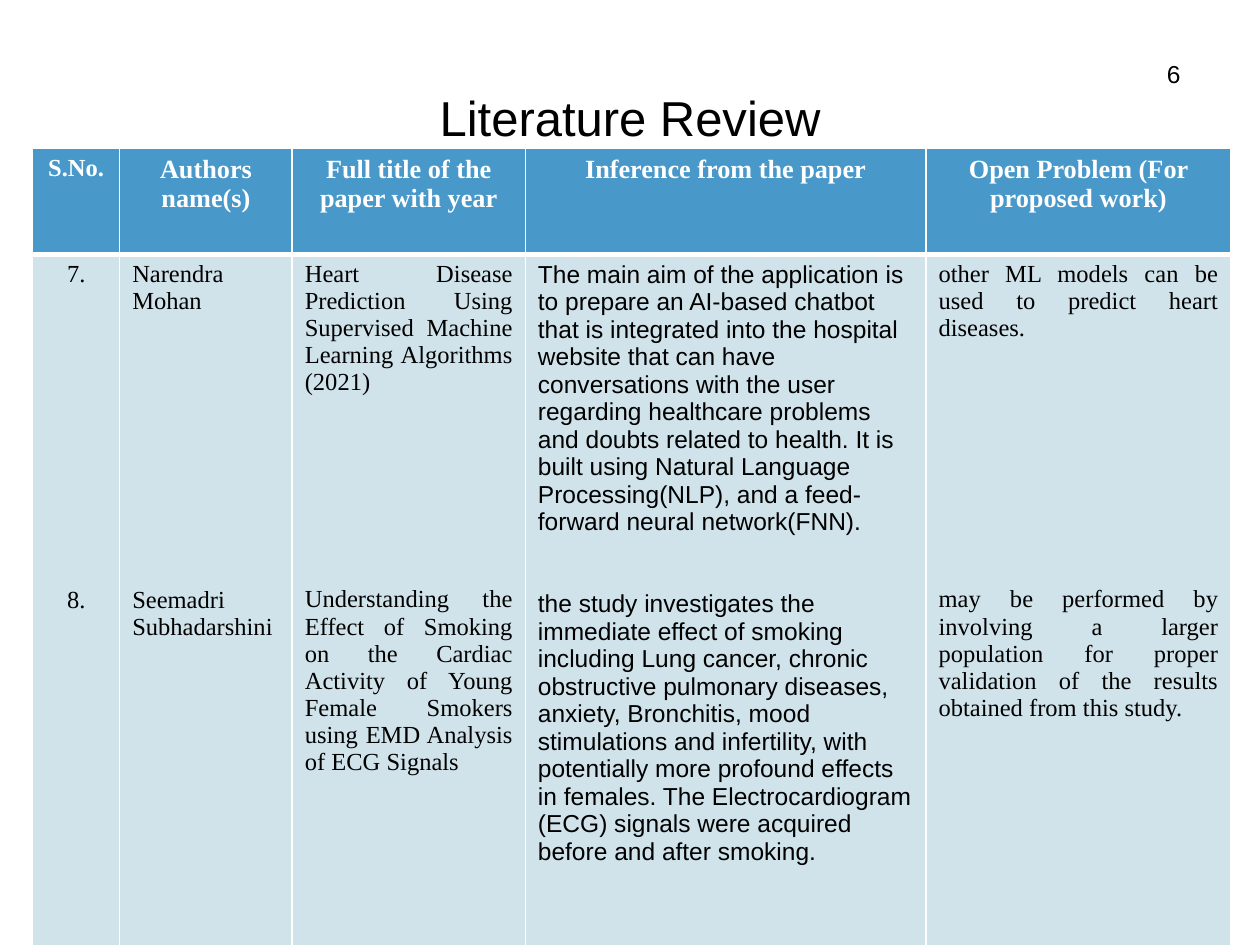
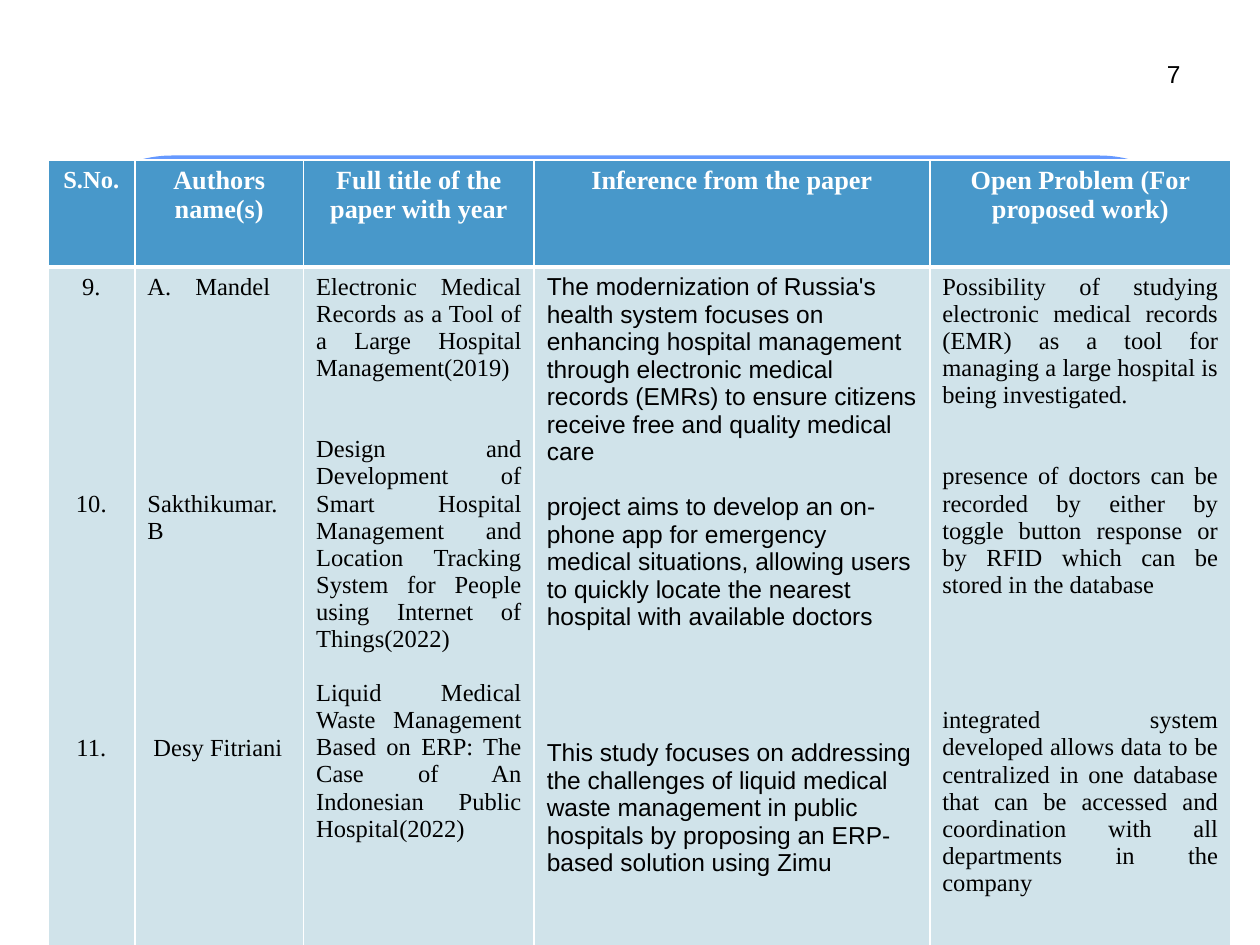
from dataclasses import dataclass
from typing import NamedTuple

from lxml.etree import SubElement
from pptx import Presentation
from pptx.dml.color import RGBColor
from pptx.enum.shapes import MSO_SHAPE
from pptx.enum.text import MSO_ANCHOR, PP_ALIGN
from pptx.oxml.ns import qn
from pptx.util import Inches, Pt

COLORS = {
    "white": "FFFFFF",
    "black": "000000",
    "head": "4898CA",
    "body": "D0E3EA",
    "frame": "6699FF",
}
SANS, SERIF = "Arial", "Times New Roman"
LINE = 15.5  # height in points of one line of body text
THIN, THICK = 1, 3  # border widths in points


class Box(NamedTuple):
    left: float
    top: float
    width: float
    height: float


class Style(NamedTuple):
    size: float
    font: str = SANS
    color: str = "black"
    bold: bool = False
    align: PP_ALIGN = PP_ALIGN.LEFT


class Entry(NamedTuple):
    text: str
    gap: int = 0  # lines left free above
    lettered: bool = False


class Column(NamedTuple):
    head: str
    head_size: float
    style: Style


@dataclass
class Review:
    number: int
    left: float
    top: float
    widths: list[float]
    heights: list[float]
    cells: list[list[Entry]]
    title: str = ""


FRAME = Box(0.42, 1.25, 9.25, 5.67)
NUMBER = Box(9.09, 0.42, 0.33, 0.32)
TITLE = Box(0.5, 0.1, 9, 1.65)

NUMBER_STYLE = Style(14, align=PP_ALIGN.RIGHT)
TITLE_STYLE = Style(28, align=PP_ALIGN.CENTER)
CENTERED = Style(14, SERIF, align=PP_ALIGN.CENTER)
NAMES = Style(14, SERIF)
JUSTIFIED = Style(14, SERIF, align=PP_ALIGN.JUSTIFY)
PLAIN = Style(14)

COLUMNS = [
    Column("S.No.", 14, CENTERED),
    Column("Authors name(s)", 15, NAMES),
    Column("Full title of the paper with year", 15, JUSTIFIED),
    Column("Inference from the paper", 15, PLAIN),
    Column("Open Problem (For proposed work)", 15, JUSTIFIED),
]

REVIEWS = [
    Review(
        6, 0.26, 1.18, [0.69, 1.37, 1.85, 3.18, 2.42], [0.84, 5.81],
        [
            [Entry("7."), Entry("8.", 11)],
            [Entry("Narendra Mohan"), Entry("Seemadri Subhadarshini", 10)],
            [
                Entry("Heart Disease Prediction Using Supervised Machine "
                      "Learning Algorithms (2021)"),
                Entry("Understanding the Effect of Smoking on the Cardiac "
                      "Activity of Young Female Smokers using EMD Analysis "
                      "of ECG Signals", 7),
            ],
            [
                Entry("The main aim of the application is to prepare an "
                      "AI-based chatbot that is integrated into the hospital "
                      "website that can have conversations with the user "
                      "regarding healthcare problems and doubts related to "
                      "health. It is built using Natural Language "
                      "Processing(NLP), and a feed-forward neural "
                      "network(FNN)."),
                Entry("the study investigates the immediate effect of smoking "
                      "including Lung cancer, chronic obstructive pulmonary "
                      "diseases, anxiety, Bronchitis, mood stimulations and "
                      "infertility, with potentially more profound effects in "
                      "females. The Electrocardiogram (ECG) signals were "
                      "acquired before and after smoking.", 2),
            ],
            [
                Entry("other ML models can be used to predict heart "
                      "diseases."),
                Entry("may be performed by involving a larger population for "
                      "proper validation of the results obtained from this "
                      "study.", 9),
            ],
        ],
        "Literature Review",
    ),
    Review(
        7, 0.38, 1.27, [0.69, 1.34, 1.83, 3.14, 2.39], [0.85, 6.1],
        [
            [Entry("9."), Entry("10.", 7), Entry("11.", 8)],
            [
                Entry("Mandel", lettered=True),
                Entry("Sakthikumar.B", 7),
                Entry(" Desy Fitriani", 7),
            ],
            [
                Entry("Electronic Medical Records as a Tool of a Large "
                      "Hospital Management(2019)"),
                Entry("Design and Development of Smart Hospital Management "
                      "and Location Tracking System for People using Internet "
                      "of Things(2022)", 2),
                Entry("Liquid Medical Waste Management Based on ERP: The Case "
                      "of An Indonesian Public Hospital(2022)", 1),
            ],
            [
                Entry("The modernization of Russia's health system focuses on "
                      "enhancing hospital management through electronic "
                      "medical records (EMRs) to ensure citizens receive free "
                      "and quality medical care"),
                Entry("project aims to develop an on-phone app for emergency "
                      "medical situations, allowing users to quickly locate "
                      "the nearest hospital with available doctors", 1),
                Entry("This study focuses on addressing the challenges of "
                      "liquid medical waste management in public hospitals by "
                      "proposing an ERP-based solution using Zimu", 4),
            ],
            [
                Entry("Possibility of studying electronic medical records "
                      "(EMR) as a tool for managing a large hospital is being "
                      "investigated."),
                Entry("presence of doctors can be recorded by either by "
                      "toggle button response or by RFID which can be stored "
                      "in the database", 2),
                Entry("integrated system developed allows data to be "
                      "centralized in one database that can be accessed and "
                      "coordination with all departments in the company", 4),
            ],
        ],
    ),
]


def rgb(name: str) -> RGBColor:
    return RGBColor.from_string(COLORS[name])


def place(box: Box) -> list[int]:
    return [Inches(side) for side in box]


def write(para, text: str, style: Style) -> None:
    para.text = text
    para.alignment = style.align
    for run in para.runs:
        run.font.size = Pt(style.size)
        run.font.name = style.font
        run.font.bold = style.bold
        run.font.color.rgb = rgb(style.color)


def add_text(slide, box: Box, text: str, style: Style, wrap: bool) -> None:
    frame = slide.shapes.add_textbox(*place(box)).text_frame
    frame.word_wrap = wrap
    frame.vertical_anchor = MSO_ANCHOR.MIDDLE if wrap else MSO_ANCHOR.TOP
    frame.margin_left = frame.margin_right = Inches(0.05)
    frame.margin_top = frame.margin_bottom = Inches(0.05)
    write(frame.paragraphs[0], text, style)


def add_frame(slide) -> None:
    shape = slide.shapes.add_shape(MSO_SHAPE.ROUNDED_RECTANGLE, *place(FRAME))
    shape.shadow.inherit = False
    shape.fill.solid()
    shape.fill.fore_color.rgb = rgb("white")
    shape.line.color.rgb = rgb("frame")
    shape.line.width = Pt(2.25)


def paint(cell, fill: str, top: int, bottom: int) -> None:
    """Give a cell its white borders, then its fill."""
    props = cell._tc.get_or_add_tcPr()
    for side, width in zip("LRTB", (THIN, THIN, top, bottom)):
        line = SubElement(props, qn(f"a:ln{side}"), w=str(Pt(width)))
        solid = SubElement(line, qn("a:solidFill"))
        SubElement(solid, qn("a:srgbClr"), val=COLORS["white"])
    cell.fill.solid()
    cell.fill.fore_color.rgb = rgb(fill)


def letter(para) -> None:
    """Number a paragraph A., B., ... with a hanging indent."""
    props = para._p.get_or_add_pPr()
    props.set("marL", str(Inches(0.38)))
    props.set("indent", str(-Inches(0.38)))
    SubElement(props, qn("a:buFont"), typeface="+mj-lt")
    SubElement(props, qn("a:buAutoNum"), type="alphaUcPeriod")


def fill_cell(cell, entries: list[Entry], style: Style) -> None:
    frame = cell.text_frame
    for index, entry in enumerate(entries):
        para = frame.add_paragraph() if index else frame.paragraphs[0]
        write(para, entry.text, style)
        if entry.gap:
            para.space_before = Pt(entry.gap * LINE)
        if entry.lettered:
            letter(para)


def add_grid(slide, review: Review) -> None:
    box = Box(review.left, review.top, sum(review.widths), sum(review.heights))
    table = slide.shapes.add_table(2, len(COLUMNS), *place(box)).table
    for row, height in zip(table.rows, review.heights):
        row.height = Inches(height)
    for index, column in enumerate(COLUMNS):
        table.columns[index].width = Inches(review.widths[index])
        head, body = table.cell(0, index), table.cell(1, index)
        paint(head, "head", THIN, THICK)
        paint(body, "body", THICK, THIN)
        style = Style(column.head_size, SERIF, "white", True, PP_ALIGN.CENTER)
        fill_cell(head, [Entry(column.head)], style)
        fill_cell(body, review.cells[index], column.style)


def main() -> None:
    deck = Presentation()
    deck.slide_width, deck.slide_height = Inches(10), Inches(7.5)
    for review in REVIEWS:
        slide = deck.slides.add_slide(deck.slide_layouts[6])
        add_frame(slide)
        add_text(slide, NUMBER, str(review.number), NUMBER_STYLE, False)
        if review.title:
            add_text(slide, TITLE, review.title, TITLE_STYLE, True)
        add_grid(slide, review)
    deck.save("out.pptx")


if __name__ == "__main__":
    main()
